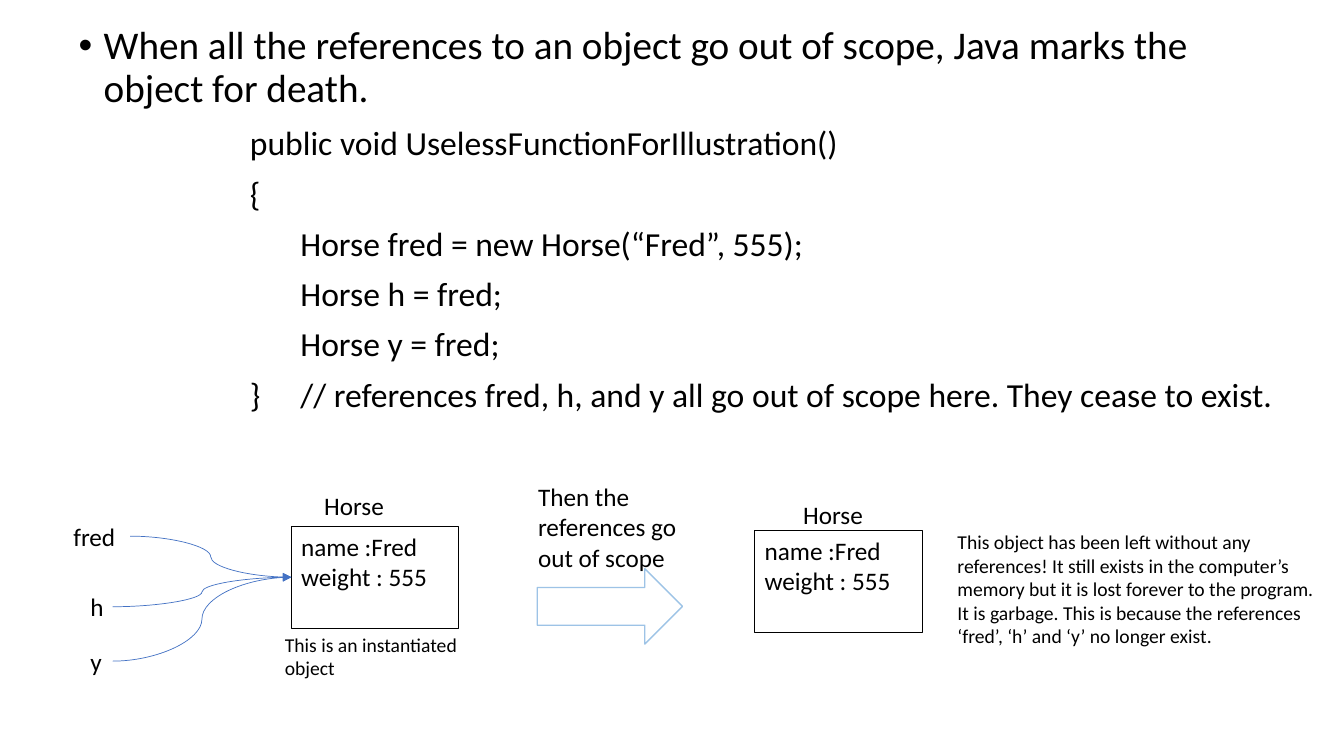
from lxml import etree
from pptx import Presentation, util as u
from pptx.dml.color import RGBColor
from pptx.enum import shapes, text
from pptx.oxml import ns

COLORS = {"ink": "000000", "reference": "4472C4", "arrow": "9DC3E6"}
FONT = "Calibri"
INTRO = "When all the references to an object go out of scope, Java marks the object for death."
CODE = [
    "public void UselessFunctionForIllustration()",
    "{",
    "\tHorse fred = new Horse(“Fred”, 555);",
    "\tHorse h = fred;",
    "\tHorse y = fred;",
    "}\t// references fred, h, and y all go out of scope here. They cease to exist.",
]
FIELDS = ["name :Fred", "weight : 555"]
GARBAGE = ("This object has been left without any references! It still exists in the "
           "computer’s memory but it is lost forever to the program. It is garbage. This is "
           "because the references ‘fred’, ‘h’ and ‘y’ no longer exist.")
# name: left and top of its label within the references region, label width
REFERENCES = {"fred": (0, 0, 1.68), "h": (0.43, 1.78, 0.81), "y": (0.43, 3.15, 0.81)}
LABEL_HEIGHT = 1.02
OBJECT_SIZE = (4.22, 2.57)


def color(name):
    return RGBColor.from_string(COLORS[name])


def place(box):
    return [u.Cm(length) for length in box]


def write(shape, lines, size, wrap=True, **formats):
    """Fill a shape with one paragraph per line; formats go to each paragraph."""
    frame = shape.text_frame
    frame.word_wrap = wrap
    frame.vertical_anchor = text.MSO_ANCHOR.TOP
    for index, line in enumerate(lines):
        para = frame.paragraphs[0] if index == 0 else frame.add_paragraph()
        para.alignment = text.PP_ALIGN.LEFT
        for name, value in formats.items():
            if index > 0 or name != "space_before":
                setattr(para, name, value)
        span = para.add_run()
        span.text = line
        for name, value in {"name": FONT, "size": u.Pt(size)}.items():
            setattr(span.font, name, value)
        span.font.color.rgb = color("ink")


def add_text(page, box, lines, size, **formats):
    label = page.shapes.add_textbox(*place(box))
    write(label, lines, size, **formats)
    return label


def add_outline(page, kind, box, line_color, width):
    shape = page.shapes.add_shape(kind, *place(box))
    shape.shadow.inherit = False
    shape.fill.background()
    shape.line.color.rgb = color(line_color)
    shape.line.width = u.Pt(width)
    return shape


def add_intro(page, box):
    label = add_text(page, box, [INTRO], 28, line_spacing=0.9)
    props = label.text_frame.paragraphs[0]._p.get_or_add_pPr()
    indent = u.Cm(0.635)
    props.set("marL", str(indent))
    props.set("indent", str(-indent))
    etree.SubElement(props, ns.qn("a:buFont")).set("typeface", "Arial")
    etree.SubElement(props, ns.qn("a:buChar")).set("char", "•")


def add_code(page, box):
    add_text(page, box, CODE, 24, line_spacing=0.9, space_before=u.Pt(10))


def add_object(page, left, top, title_shift):
    """Draw a Horse instance; title_shift offsets its title from the corner."""
    across, down = title_shift
    add_text(page, (left + across, top + down, 2.72, LABEL_HEIGHT), ["Horse"], 18)
    body = add_outline(page, shapes.MSO_SHAPE.RECTANGLE, (left, top, *OBJECT_SIZE), "ink", 0.75)
    write(body, FIELDS, 18)


def add_references(page, left, top, target):
    """Draw the variable names, each with a curve to the target point."""
    for name, (across, down, width) in REFERENCES.items():
        x, y = left + across, top + down
        add_text(page, (x, y, width, LABEL_HEIGHT), [name], 18, wrap=False)
        start = (x + width, y + LABEL_HEIGHT / 2)
        curve = page.shapes.add_connector(shapes.MSO_CONNECTOR.CURVE, *place(start + target))
        curve.line.color.rgb = color("reference")
        curve.line.width = u.Pt(0.5)
        etree.SubElement(curve.line._get_or_add_ln(), ns.qn("a:tailEnd")).set("type", "triangle")
        etree.SubElement(curve._element.spPr, ns.qn("a:effectLst"))


def add_before(page, left, top):
    x, y = left + 5.74, top + 0.26
    add_object(page, x, y, (0.58, -1.02))
    add_references(page, left, top, (x, y + OBJECT_SIZE[1] / 2))
    add_text(page, (x - 0.41, y + 2.56, 5.64, 1.45), ["This is an instantiated object"], 14)


def add_transition(page, left, top):
    add_outline(page, shapes.MSO_SHAPE.RIGHT_ARROW, (left + 0.23, top + 2.32, 3.66, 1.9),
                "arrow", 1)
    add_text(page, (left, top, 4.14, 2.57), ["Then the references go out of scope"], 18)


def add_after(page, left, top):
    add_object(page, left, top, (0.97, -0.89))
    add_text(page, (left + 4.86, top - 0.13, 9.68, 3.25), [GARBAGE], 14)


def main():
    deck = Presentation()
    deck.slide_width, deck.slide_height = u.Cm(33.87), u.Cm(19.05)
    page = deck.slides.add_slide(deck.slide_layouts[6])
    add_intro(page, (1.73, 0.53, 29.21, 2.9))
    add_code(page, (6.05, 3.07, 27.8, 7.87))
    add_before(page, 1.6, 13)
    add_transition(page, 13.31, 12.01)
    add_after(page, 19.02, 13.36)
    deck.save("out.pptx")


if __name__ == "__main__":
    main()
